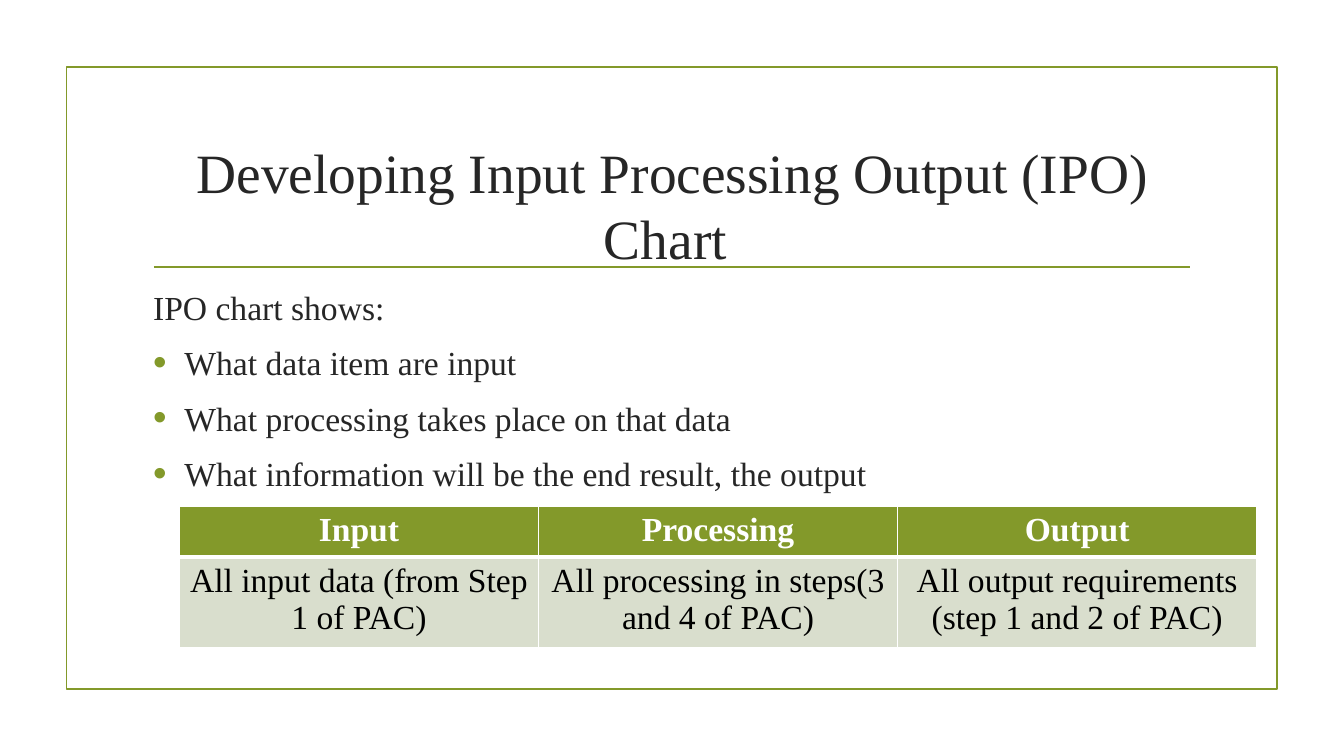
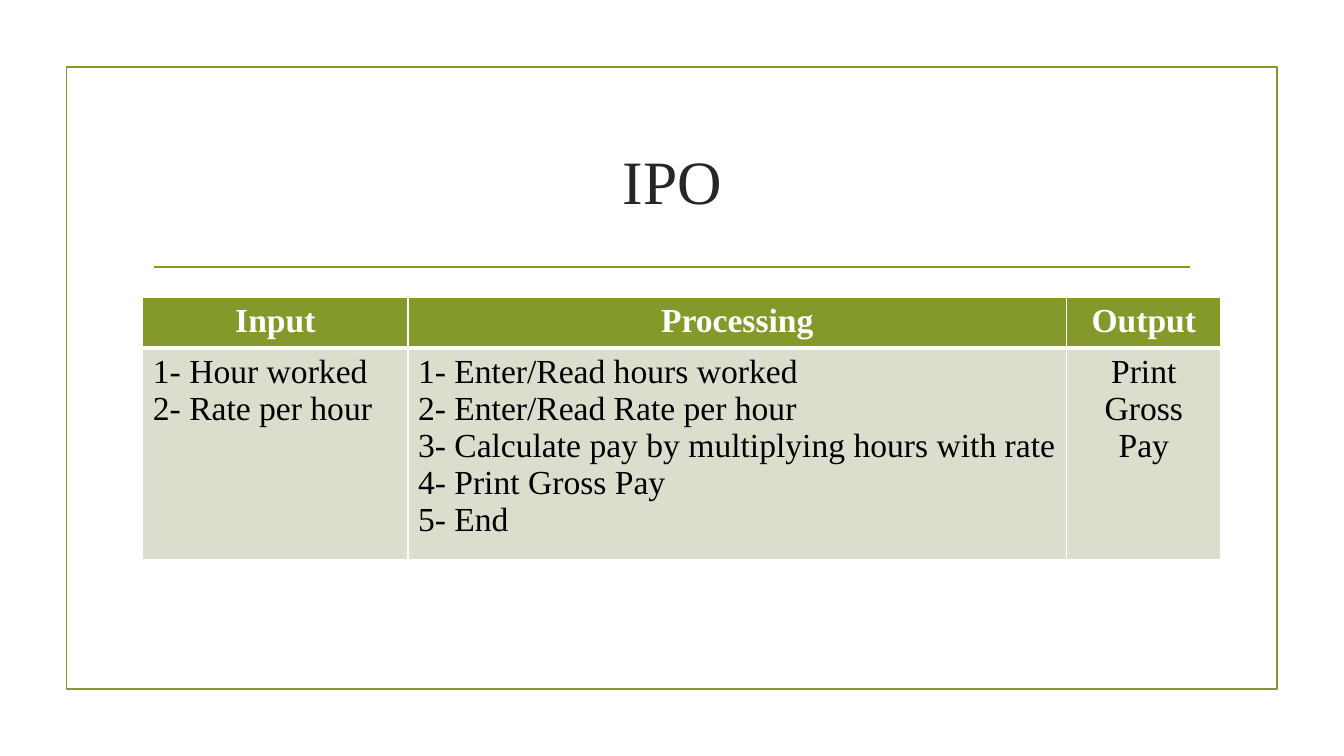
from dataclasses import dataclass

from lxml.etree import SubElement
from pptx import Presentation
from pptx.dml.color import RGBColor
from pptx.enum.shapes import MSO_CONNECTOR, MSO_SHAPE
from pptx.enum.text import MSO_ANCHOR, PP_ALIGN
from pptx.oxml.ns import qn
from pptx.util import Cm, Pt


@dataclass(frozen=True)
class Theme:
    font: str = "Times New Roman"
    accent: str = "83992A"
    ink: str = "262626"
    cell_ink: str = "000000"
    cell_fill: str = "D9DECD"
    white: str = "FFFFFF"
    title_size: float = 44
    long_title_size: float = 39.6
    text_size: float = 24
    line_width: float = 1.25


THEME = Theme()
CENTER, LEFT = PP_ALIGN.CENTER, PP_ALIGN.LEFT


def color(code):
    return RGBColor.from_string(code)


def write(para, text, size=THEME.text_size, ink=THEME.ink, bold=False,
          align=LEFT, before=0, after=0):
    """Fill one paragraph with a single formatted span."""
    para.alignment = align
    para.space_before, para.space_after = Pt(before), Pt(after)
    span = para.add_run()
    span.text = text
    span.font.name, span.font.size, span.font.bold = THEME.font, Pt(size), bold
    span.font.color.rgb = color(ink)


def paragraphs(frame, lines):
    """Yield a paragraph with each line, starting with the one already there."""
    for index, line in enumerate(lines):
        yield (frame.add_paragraph() if index else frame.paragraphs[0]), line


def add_bullet(para, indent):
    props = para._p.get_or_add_pPr()
    props.set("marL", str(indent))
    props.set("indent", str(-indent))
    bullet_color = SubElement(props, qn("a:buClr"))
    SubElement(bullet_color, qn("a:srgbClr"), val=THEME.accent)
    SubElement(props, qn("a:buSzPct"), val="115000")
    SubElement(props, qn("a:buFont"), typeface="Arial")
    SubElement(props, qn("a:buChar"), char="•")


def style_line(line):
    line.color.rgb = color(THEME.accent)
    line.width = Pt(THEME.line_width)


def add_frame(slide, left, top, width, height):
    """Outline of the page and the rule below the title."""
    outline = slide.shapes.add_shape(MSO_SHAPE.RECTANGLE, left, top, width, height)
    outline.shadow.inherit = False
    outline.fill.background()
    style_line(outline.line)
    margin, rule_top = Cm(2.2), top + Cm(5.04)
    rule = slide.shapes.add_connector(
        MSO_CONNECTOR.STRAIGHT, left + margin, rule_top, left + width - margin, rule_top)
    style_line(rule.line)
    SubElement(rule._element.spPr, qn("a:effectLst"))


def add_text_box(slide, left, top, width, height, anchor=MSO_ANCHOR.TOP):
    frame = slide.shapes.add_textbox(left, top, width, height).text_frame
    frame.word_wrap = True
    frame.vertical_anchor = anchor
    return frame


def add_title(slide, text, top, size=THEME.title_size):
    frame = add_text_box(slide, Cm(3.61), top, Cm(26.67), Cm(3.63), MSO_ANCHOR.MIDDLE)
    write(frame.paragraphs[0], text, size=size, align=CENTER)


def add_bullet_list(slide, lead, items, left, top, width, height):
    """Lead line followed by bulleted items."""
    frame = add_text_box(slide, left, top, width, height)
    for para, line in paragraphs(frame, [lead, *items]):
        write(para, line, before=4.6, after=6)
        if line != lead:
            add_bullet(para, Cm(0.79))


def set_borders(cell, **widths):
    """Draw white borders; the fill has to follow them in the cell properties."""
    props = cell._tc.get_or_add_tcPr()
    for side in ("L", "R", "T", "B"):
        line = SubElement(props, qn(f"a:ln{side}"), w=str(Pt(widths.get(side, 1))))
        fill = SubElement(line, qn("a:solidFill"))
        SubElement(fill, qn("a:srgbClr"), val=THEME.white)


def fill_cell(cell, lines, fill, **style):
    cell.fill.solid()
    cell.fill.fore_color.rgb = color(fill)
    for para, line in paragraphs(cell.text_frame, lines):
        write(para, line, **style)


def add_ipo_table(slide, columns, left, top, widths):
    """Input, processing and output columns, each given as (lines, alignment)."""
    # Rows start at a minimum height and grow with their text
    row_height = Cm(1.05)
    table = slide.shapes.add_table(
        2, len(widths), left, top, sum(widths), 2 * row_height).table
    headings = ("Input", "Processing", "Output")
    for index, (heading, (lines, align)) in enumerate(zip(headings, columns)):
        table.columns[index].width = widths[index]
        header, body = table.cell(0, index), table.cell(1, index)
        set_borders(header, B=3)
        set_borders(body, T=3)
        fill_cell(header, [heading], THEME.accent, ink=THEME.white, bold=True, align=CENTER)
        fill_cell(body, lines, THEME.cell_fill, ink=THEME.cell_ink, align=align)


def add_page(deck):
    slide = deck.slides.add_slide(deck.slide_layouts[6])
    add_frame(slide, Cm(1.68), Cm(1.69), Cm(30.5), Cm(15.67))
    return slide


def build_overview(deck):
    slide = add_page(deck)
    add_title(slide, "Developing Input Processing Output (IPO) Chart ",
              Cm(3.33), THEME.long_title_size)
    add_bullet_list(slide, "IPO chart shows:", [
        "What data item are input",
        "What processing takes place on that data",
        "What information will be the end result, the output",
    ], Cm(3.61), Cm(7.11), Cm(26.67), Cm(9.22))
    add_ipo_table(slide, [
        (["All input data (from Step 1 of PAC)"], CENTER),
        (["All processing in steps(3 and 4 of PAC)"], CENTER),
        (["All output requirements (step 1 and 2 of PAC)"], CENTER),
    ], Cm(4.52), Cm(12.77), [Cm(9.05)] * 3)


def build_example(deck):
    slide = add_page(deck)
    add_title(slide, "IPO", Cm(2.72))
    add_ipo_table(slide, [
        (["1- Hour worked", "2- Rate per hour"], LEFT),
        (["1- Enter/Read hours worked",
          "2- Enter/Read Rate per hour",
          "3- Calculate pay by multiplying hours with rate",
          "4- Print Gross Pay",
          "5- End"], LEFT),
        (["Print Gross Pay"], CENTER),
    ], Cm(3.6), Cm(7.5), [Cm(6.68), Cm(16.6), Cm(3.89)])


def main():
    deck = Presentation()
    deck.slide_width, deck.slide_height = Cm(33.87), Cm(19.05)
    build_overview(deck)
    build_example(deck)
    deck.save("out.pptx")


if __name__ == "__main__":
    main()
